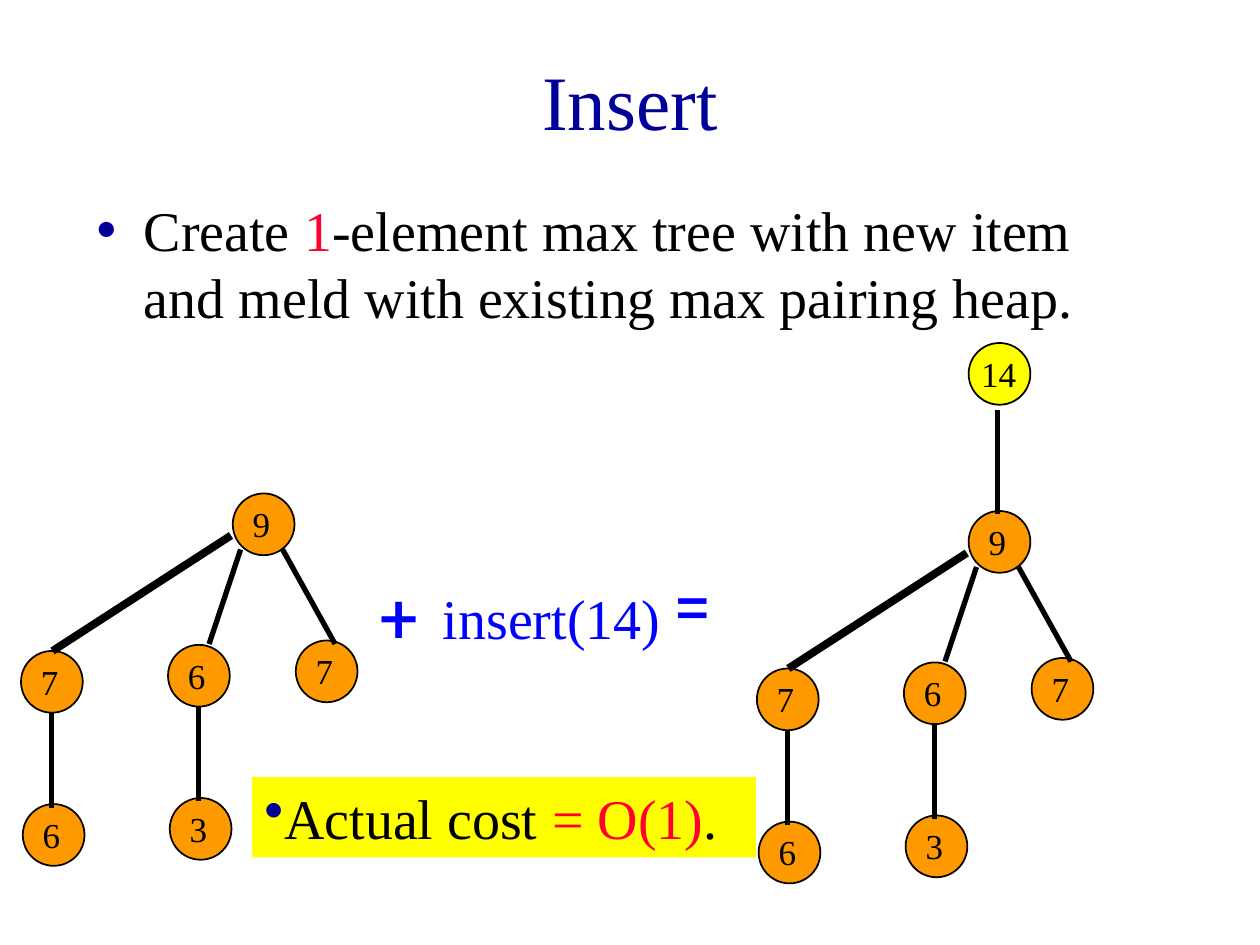
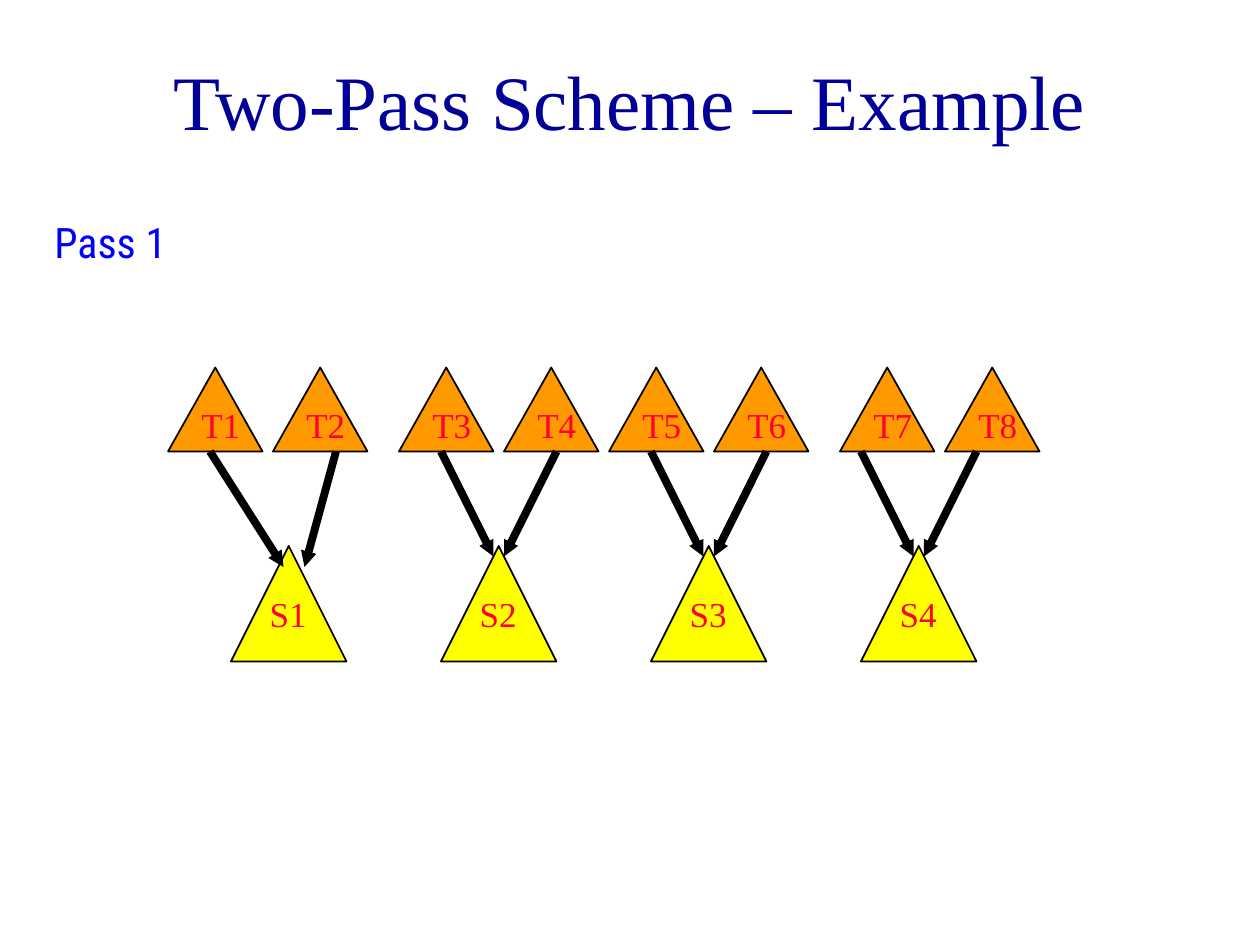
from lxml import etree
from pptx import Presentation
from pptx.dml.color import RGBColor
from pptx.enum import shapes, text
from pptx.oxml import ns
from pptx.util import Pt

COLORS = {
    "title": "000099", "ink": "000000", "accent": "FF0033", "operator": "0000FF",
    "node": "FF9900", "result": "FFFF00", "paper": "FFFFFF",
}
SERIF, SLAB, CONDENSED = "Times New Roman", "Roboto Slab", "Roboto Condensed"
NODE = 35.3  # diameter of a tree node


def rgb(name):
    return RGBColor.from_string(COLORS[name])


class Deck:
    """Holds the presentation, its style and the slide being built."""

    def __init__(self):
        self.prs = Presentation()
        self.prs.slide_width, self.prs.slide_height = Pt(720), Pt(540)
        self.slide = None

    def new_slide(self, layout, heading):
        self.slide = self.prs.slides.add_slide(self.prs.slide_layouts[layout])
        self.slide.background.fill.solid()
        self.slide.background.fill.fore_color.rgb = rgb("paper")
        title = self.slide.shapes.title
        self.place(title, 54, 12, 612, 90)
        title.text_frame.vertical_anchor = text.MSO_ANCHOR.MIDDLE
        paragraph = self.add_runs(title, [(heading, "title")], 44)
        paragraph.alignment = text.PP_ALIGN.CENTER

    def place(self, shape, left, top, width, height):
        shape.left, shape.top = Pt(left), Pt(top)
        shape.width, shape.height = Pt(width), Pt(height)

    def add_runs(self, shape, parts, size, font=SERIF, wrap=True):
        """Fill the first paragraph with (words, colour) runs and return it."""
        frame = shape.text_frame
        frame.word_wrap = wrap
        frame.auto_size = text.MSO_AUTO_SIZE.NONE
        paragraph = frame.paragraphs[0]
        for words, color in parts:
            run = paragraph.add_run()
            run.text = words
            run.font.name, run.font.size = font, Pt(size)
            run.font.color.rgb = rgb(color)
        return paragraph

    def bullet(self, paragraph):
        props = paragraph._p.get_or_add_pPr()
        color = etree.SubElement(props, ns.qn("a:buClr"))
        etree.SubElement(color, ns.qn("a:srgbClr"), val=COLORS["title"])
        etree.SubElement(props, ns.qn("a:buChar"), char="•")

    def body(self, box, parts):
        body = self.slide.placeholders[1]
        self.place(body, *box)
        paragraph = self.add_runs(body, parts, 32)
        paragraph.space_before = Pt(8)
        self.bullet(paragraph)

    def label(self, box, words, color, size=20, font=SERIF, wrap=True):
        label = self.slide.shapes.add_textbox(*map(Pt, box))
        paragraph = self.add_runs(label, [(words, color)], size, font, wrap)
        if wrap:
            paragraph.space_before = Pt(size * 0.625)

    def callout(self, box, parts):
        callout = self.slide.shapes.add_textbox(*map(Pt, box))
        callout.fill.solid()
        callout.fill.fore_color.rgb = rgb("result")
        self.bullet(self.add_runs(callout, parts, 32))

    def outline(self, kind, box, fill):
        shape = self.slide.shapes.add_shape(kind, *map(Pt, box))
        shape.shadow.inherit = False
        shape.fill.solid()
        shape.fill.fore_color.rgb = rgb(fill)
        shape.line.color.rgb = rgb("ink")
        shape.line.width = Pt(1)

    def node(self, left, top, key, fill="node"):
        self.outline(shapes.MSO_SHAPE.OVAL, (left, top, NODE, NODE), fill)
        inset, width = (4.3, 24.5) if len(key) == 1 else (0, 34.5)
        self.label((left + inset, top + 1.7, width, 31), key, "ink", wrap=False)

    def triangle(self, box, fill, name, label_box):
        self.outline(shapes.MSO_SHAPE.ISOSCELES_TRIANGLE, box, fill)
        self.label(label_box, name, "accent")

    def line(self, x1, y1, x2, y2, width=3, arrow=False):
        line = self.slide.shapes.add_connector(
            shapes.MSO_CONNECTOR.STRAIGHT, Pt(x1), Pt(y1), Pt(x2), Pt(y2))
        line.line.color.rgb = rgb("ink")
        line.line.width = Pt(width)
        if arrow:
            etree.SubElement(line.line._get_or_add_ln(), ns.qn("a:tailEnd"),
                             type="triangle", w="sm", len="sm")
        etree.SubElement(line._element.spPr, ns.qn("a:effectLst"))

    def heap(self, dx, dy):
        """Draw the max tree rooted at 9, moved by (dx, dy)."""
        for left, top, key in [(133, 282, "9"), (96, 368.5, "6"), (169, 366, "7"),
                               (97, 456, "3"), (12, 372, "7"), (13, 459.5, "6")]:
            self.node(left + dx, top + dy, key)
        for x1, y1, x2, y2, width in [
                (113.5, 404, 113.5, 458, 3), (137.5, 314, 119.5, 368, 3),
                (161.5, 314, 191.5, 368, 3), (29.5, 407.5, 29.5, 461.5, 3),
                (132, 306, 30, 372, 4.5)]:
            self.line(x1 + dx, y1 + dy, x2 + dx, y2 + dy, width)


def insert_slide(deck):
    deck.new_slide(1, "Insert")
    deck.body((48, 108, 612, 102), [
        ("Create ", "ink"), ("1", "accent"),
        ("-element max tree with new item and meld with existing max pairing heap.",
         "ink")])
    deck.heap(0, 0)
    deck.label((210, 324, 48, 55.5), "+", "operator", 40, SLAB)
    deck.label((246, 330, 156, 46), "insert(14)", "operator", 32)
    deck.label((378, 318, 48, 55.5), "=", "operator", 40, SLAB)
    deck.heap(420.5, 10)
    deck.node(553.5, 196, "14", "result")
    deck.line(570, 234, 570, 294)
    deck.callout((144, 444, 288, 46), [
        ("Actual cost ", "ink"), ("= O(1)", "accent"), (".", "ink")])


def two_pass_slide(deck):
    deck.new_slide(5, "Two-Pass Scheme – Example")
    for pair, pair_left in enumerate((96, 228, 348, 480)):
        for mate in range(2):
            left = pair_left + 60 * mate
            deck.triangle((left, 210, 54, 48), "node", f"T{2 * pair + mate + 1}",
                          (left + 12, 227, 42, 31.5))
    for pair in range(4):
        left = 132 + 120 * pair
        deck.triangle((left, 312, 66, 66), "result", f"S{pair + 1}",
                      (left + 15, 335, 51, 31.5))
        # The first pair of trees stands further left than the others
        shift, gap, tip = (-12, 12, 324) if pair == 0 else (0, 6, 318)
        deck.line(left + shift, 258, left + 30, tip, 4.5, arrow=True)
        deck.line(left + 66 + shift / 2, 258, left + 30 + gap, tip, 4.5, arrow=True)
    deck.label((24, 120, 87, 45), "Pass 1", "operator", 24, CONDENSED, wrap=False)


def main():
    deck = Deck()
    insert_slide(deck)
    two_pass_slide(deck)
    deck.prs.save("out.pptx")


if __name__ == "__main__":
    main()
